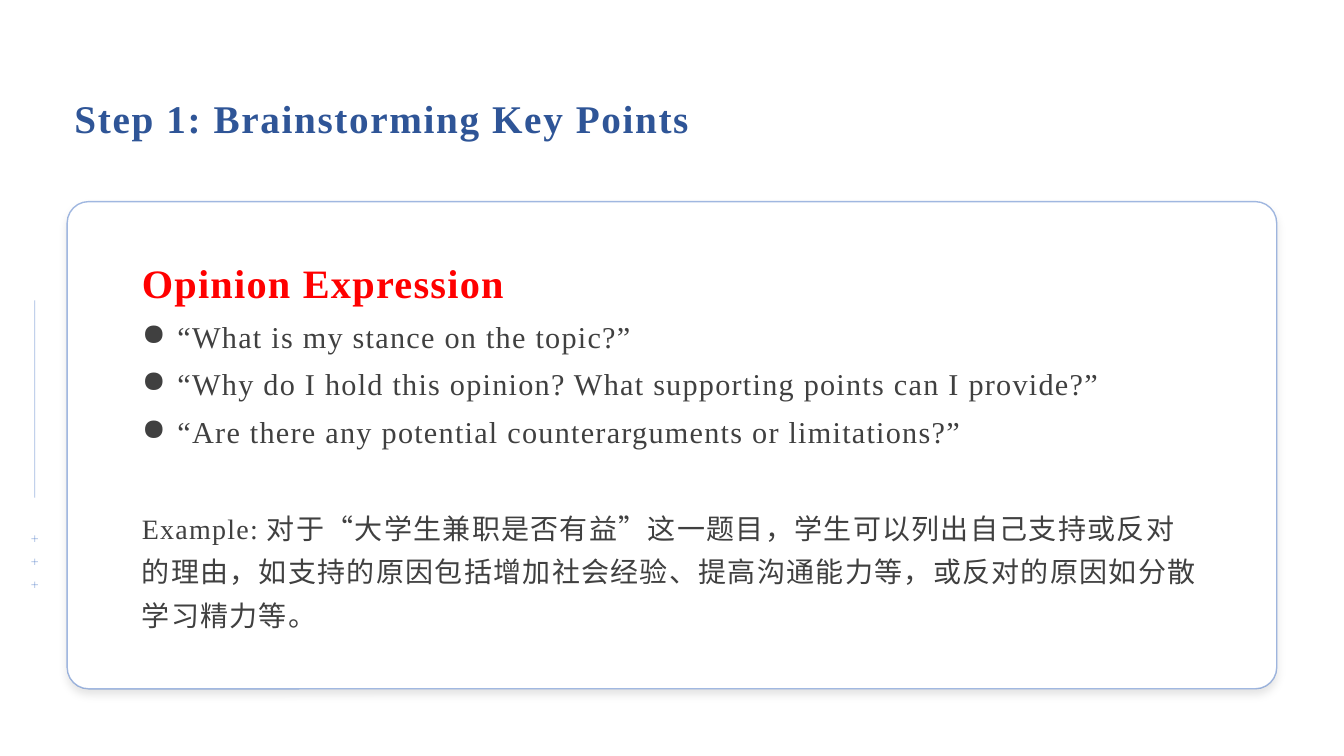
from lxml.etree import SubElement
from pptx import Presentation
from pptx.dml.color import RGBColor
from pptx.enum.shapes import MSO_CONNECTOR, MSO_SHAPE
from pptx.enum.text import MSO_ANCHOR
from pptx.oxml.ns import qn
from pptx.util import Pt

PX = 9525  # EMU, 96 px to the inch
COLORS = {
    "accent": "4472C4",
    "title": "2F5597",
    "heading": "FF0000",
    "body": "404040",
    "card": "FFFFFF",
    "shadow": "000000",
}
LATIN = "Times New Roman"
CHINESE = "Noto Sans CJK SC"


def style_line(line, width):
    """Give a line the half-transparent accent colour."""
    line.width = Pt(width)
    line.color.rgb = RGBColor.from_string(COLORS["accent"])
    color = line.fill._xPr.find(qn("a:solidFill"))[0]
    SubElement(color, qn("a:alpha"), val="50000")


def style_text(paragraph, size, color, bold, tracking):
    """Set the paragraph font, with tracking in hundredths of a point."""
    font = paragraph.font
    font.name = LATIN
    font.size = Pt(size)
    font.bold = bold
    font.color.rgb = RGBColor.from_string(COLORS[color])
    properties = paragraph._p.pPr.find(qn("a:defRPr"))
    properties.set("spc", str(tracking))
    SubElement(properties, qn("a:ea"), typeface=CHINESE)


presentation = Presentation()
presentation.slide_width = 1280 * PX
presentation.slide_height = 720 * PX
slide = presentation.slides.add_slide(presentation.slide_layouts[6])

# Margin ornament: one long rule and three plus signs below it
ornament_x = 33
strokes = [(ornament_x, 286, ornament_x, 474)]
for plus_y in (557, 535, 513):
    strokes.append((ornament_x, plus_y + 3, ornament_x, plus_y - 3))
    strokes.append((ornament_x - 3, plus_y, ornament_x + 3, plus_y))
for stroke in strokes:
    connector = slide.shapes.add_connector(
        MSO_CONNECTOR.STRAIGHT, *(value * PX for value in stroke))
    style_line(connector.line, 0.5)
    SubElement(connector._element.spPr, qn("a:effectLst"))

# Card
card = slide.shapes.add_shape(
    MSO_SHAPE.ROUNDED_RECTANGLE, 64 * PX, 192 * PX, 1152 * PX, 464 * PX)
card.adjustments[0] = 0.044
card.fill.solid()
card.fill.fore_color.rgb = RGBColor.from_string(COLORS["card"])
style_line(card.line, 1)
card.shadow.inherit = False
effects = card._element.spPr.find(qn("a:effectLst"))
shadow = SubElement(effects, qn("a:outerShdw"), blurRad=str(Pt(6)),
                    dist=str(Pt(4)), dir="5400000", algn="t", rotWithShape="0")
shadow_color = SubElement(shadow, qn("a:srgbClr"), val=COLORS["shadow"])
SubElement(shadow_color, qn("a:alpha"), val="11000")

# Text boxes
frames = []
for left, top, width, height in ((64, 64, 912, 96), (128, 240, 1024, 368)):
    box = slide.shapes.add_textbox(left * PX, top * PX, width * PX, height * PX)
    frame = box.text_frame
    frame.word_wrap = True
    frame.vertical_anchor = MSO_ANCHOR.MIDDLE
    frame.margin_left = frame.margin_right = 7 * PX
    frame.margin_top = frame.margin_bottom = 3 * PX
    frames.append(frame)
title_frame, body_frame = frames

title = title_frame.paragraphs[0]
title.text = "Step 1: Brainstorming Key Points"
style_text(title, 28, "title", True, 120)

heading = body_frame.paragraphs[0]
heading.text = "Opinion Expression"
heading.space_after = Pt(8)
style_text(heading, 28.8, "heading", True, 90)

questions = [
    "“What is my stance on the topic?”",
    "“Why do I hold this opinion? What supporting points can I provide?”",
    "“Are there any potential counterarguments or limitations?”",
]
for question in questions:
    paragraph = body_frame.add_paragraph()
    paragraph.text = question
    paragraph.space_after = Pt(8)
    properties = paragraph._p.get_or_add_pPr()
    properties.set("marL", str(34 * PX))
    properties.set("indent", str(-34 * PX))
    SubElement(properties, qn("a:buChar"), char="●")
    style_text(paragraph, 21.6, "body", False, 90)

example = body_frame.add_paragraph()
example.space_before = Pt(29)
example.space_after = Pt(8)
example.line_spacing = 1.3
style_text(example, 20, "body", False, 90)
example.add_run().text = "Example:"
explanation = example.add_run()
explanation.text = (
    " 对于“大学生兼职是否有益”这一题目，学生可以列出自己支持或反对的理由，"
    "如支持的原因包括增加社会经验、提高沟通能力等，或反对的原因如分散学习精力等。"
)
explanation.font.name = CHINESE

presentation.save("out.pptx")
